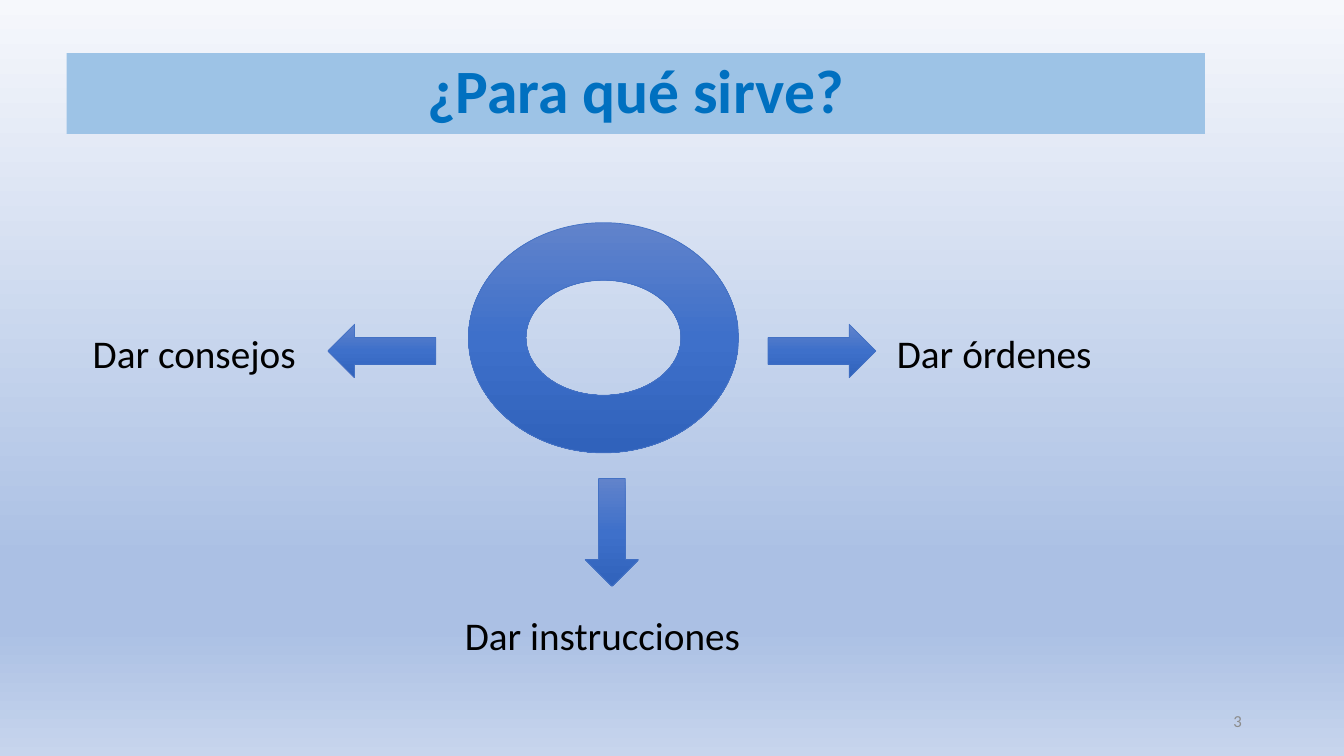
"""Builds a slide on what the imperative is for."""
from lxml import etree
from pptx import Presentation
from pptx.dml.color import RGBColor
from pptx.enum.shapes import MSO_SHAPE
from pptx.enum.text import MSO_ANCHOR, MSO_AUTO_SIZE, PP_ALIGN
from pptx.oxml.ns import qn
from pptx.util import Inches, Pt

DONUT, RIGHT = MSO_SHAPE.DONUT, MSO_SHAPE.RIGHT_ARROW
DOWN, LEFT = MSO_SHAPE.DOWN_ARROW, MSO_SHAPE.LEFT_ARROW
MIDDLE, TOP = MSO_ANCHOR.MIDDLE, MSO_ANCHOR.TOP
CENTER, START, END = PP_ALIGN.CENTER, PP_ALIGN.LEFT, PP_ALIGN.RIGHT
NO_FIT = MSO_AUTO_SIZE.NONE

COLORS = {"band": "9DC3E6", "title": "0070C0", "text": "000000",
          "line": "4472C4", "page": "8C8C8C"}
SKY = [(0, "F6F8FC"), (74, "ABC0E4"), (83, "ABC0E4"), (100, "C7D5ED")]
BLUE = [(0, "6183CB"), (50, "3E70CA"), (100, "3062BB")]


class Deck:
    """Holds the style and the slide; boxes are percent shares of the slide."""

    def __init__(self):
        self.prs = Presentation()
        self.prs.slide_width, self.prs.slide_height = Inches(13.33), Inches(7.5)
        self.slide = self.prs.slides.add_slide(self.prs.slide_layouts[1])
        self.shade(self.slide.background.fill, self.slide, SKY)

    def box(self, left, top, width, height):
        wide, high = self.prs.slide_width / 100, self.prs.slide_height / 100
        return [round(n) for n in (left * wide, top * high, width * wide, height * high)]

    def place(self, shape, share):
        shape.left, shape.top, shape.width, shape.height = self.box(*share)

    def shade(self, fill, owner, stops):
        fill.gradient()
        fill.gradient_angle = 270
        group = next(owner._element.iter(qn("a:gsLst")))
        for stop in list(group):
            group.remove(stop)
        for pos, color in stops:
            stop = etree.SubElement(group, qn("a:gs"), pos=str(pos * 1000))
            etree.SubElement(stop, qn("a:srgbClr"), val=color)

    def frame(self, shape, anchor):
        frame = shape.text_frame
        frame.word_wrap, frame.auto_size = True, NO_FIT
        frame.vertical_anchor = anchor
        return frame

    def style(self, para, size, color, align, bold=False, lead=0.9):
        para.alignment, para.line_spacing = align, lead
        para.space_before = Pt(0)
        font = para.font
        font.name, font.size, font.bold = "Calibri", Pt(size), bold
        font.color.rgb = RGBColor.from_string(COLORS[color])

    def title(self, text, share):
        shape = self.slide.shapes.title
        self.place(shape, share)
        shape.fill.solid()
        shape.fill.fore_color.rgb = RGBColor.from_string(COLORS["band"])
        para = self.frame(shape, MIDDLE).paragraphs[0]
        para.text = text
        self.style(para, 44, "title", CENTER, bold=True)

    def body(self, lines, share, drop, gap):
        shape = self.slide.placeholders[1]
        self.place(shape, share)
        frame = self.frame(shape, TOP)
        frame.margin_top = Inches(drop)
        for i, (text, inset) in enumerate(lines):
            para = frame.add_paragraph() if i else frame.paragraphs[0]
            para.text = text
            props = para._p.get_or_add_pPr()
            props.set("marL", str(Inches(inset)))
            props.set("indent", "0")
            etree.SubElement(props, qn("a:buNone"))
            self.style(para, 28, "text", START)
            para.space_before = Pt(gap if i else 0)

    def shape(self, kind, share):
        shape = self.slide.shapes.add_shape(kind, *self.box(*share))
        shape.shadow.inherit = False
        self.shade(shape.fill, shape, BLUE)
        shape.line.color.rgb = RGBColor.from_string(COLORS["line"])
        shape.line.width = Pt(0.5)

    def label(self, text, share, anchor, size, color, align, lead):
        shape = self.slide.shapes.add_textbox(*self.box(*share))
        para = self.frame(shape, anchor).paragraphs[0]
        para.text = text
        self.style(para, size, color, align, lead=lead)


def main():
    deck = Deck()
    deck.title("¿Para qué sirve?", (4.95, 7.03, 84.7, 10.67))
    deck.body([("Dar consejos", 0.26), ("Dar instrucciones", 3.95)],
              (4.2, 20.67, 83.7, 68.67), drop=1.77, gap=171)
    deck.label("Dar órdenes", (66, 43.6, 20, 7), TOP, 28, "text", START, 0.9)
    long, thick = 1.07, 0.53
    flat = long / 0.1333, thick / 0.075
    tall = thick / 0.1333, long / 0.075
    deck.shape(DONUT, (34.85, 29.45, 20.1, 30.45))
    deck.shape(RIGHT, (57.15, 42.9, *flat))
    deck.shape(DOWN, (43.55, 63.3, *tall))
    deck.shape(LEFT, (24.4, 42.9, *flat))
    deck.label("3", (70.65, 92.67, 22.5, 5.33), MIDDLE, 12, "page", END, 1.0)
    deck.prs.save("out.pptx")


if __name__ == "__main__":
    main()
